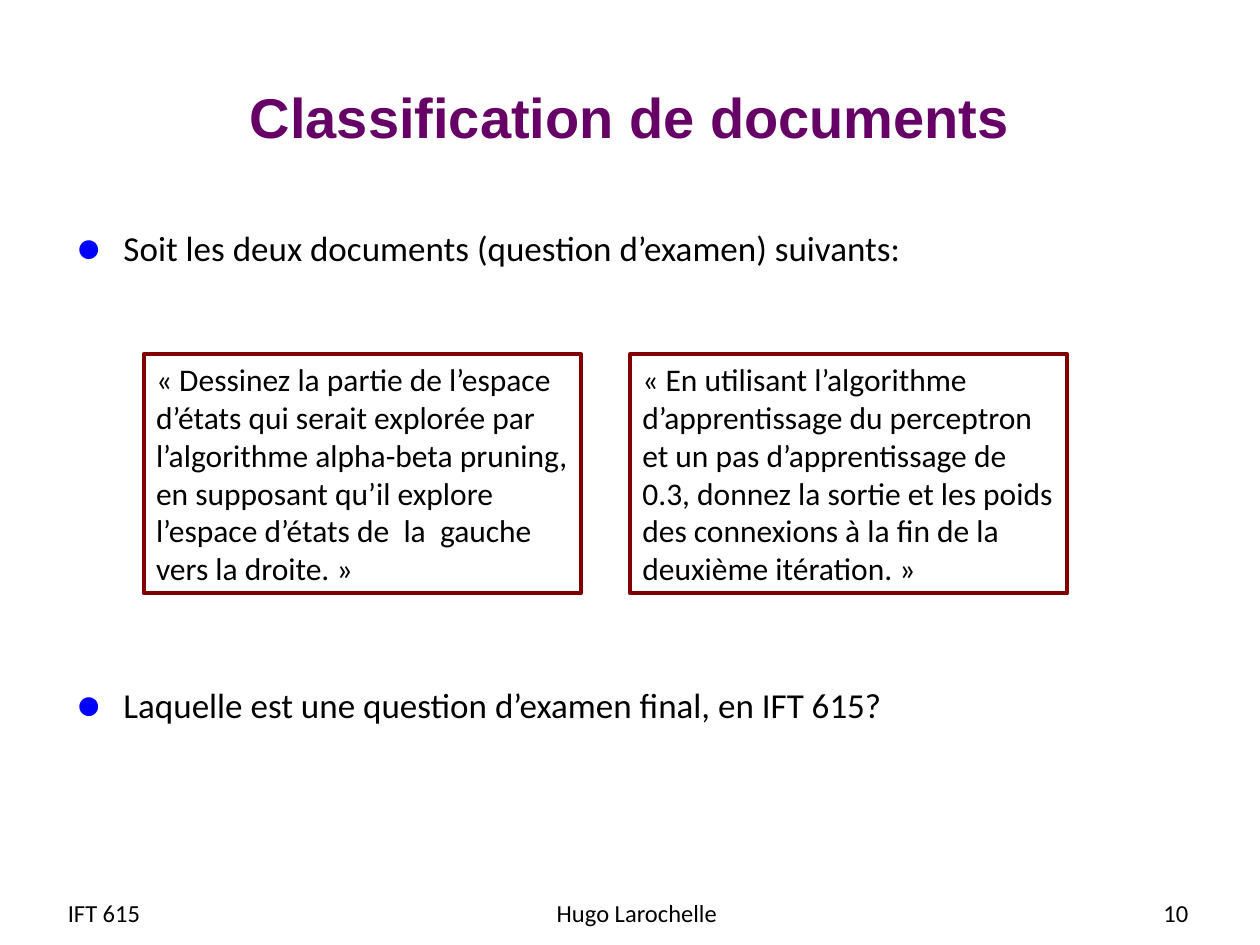
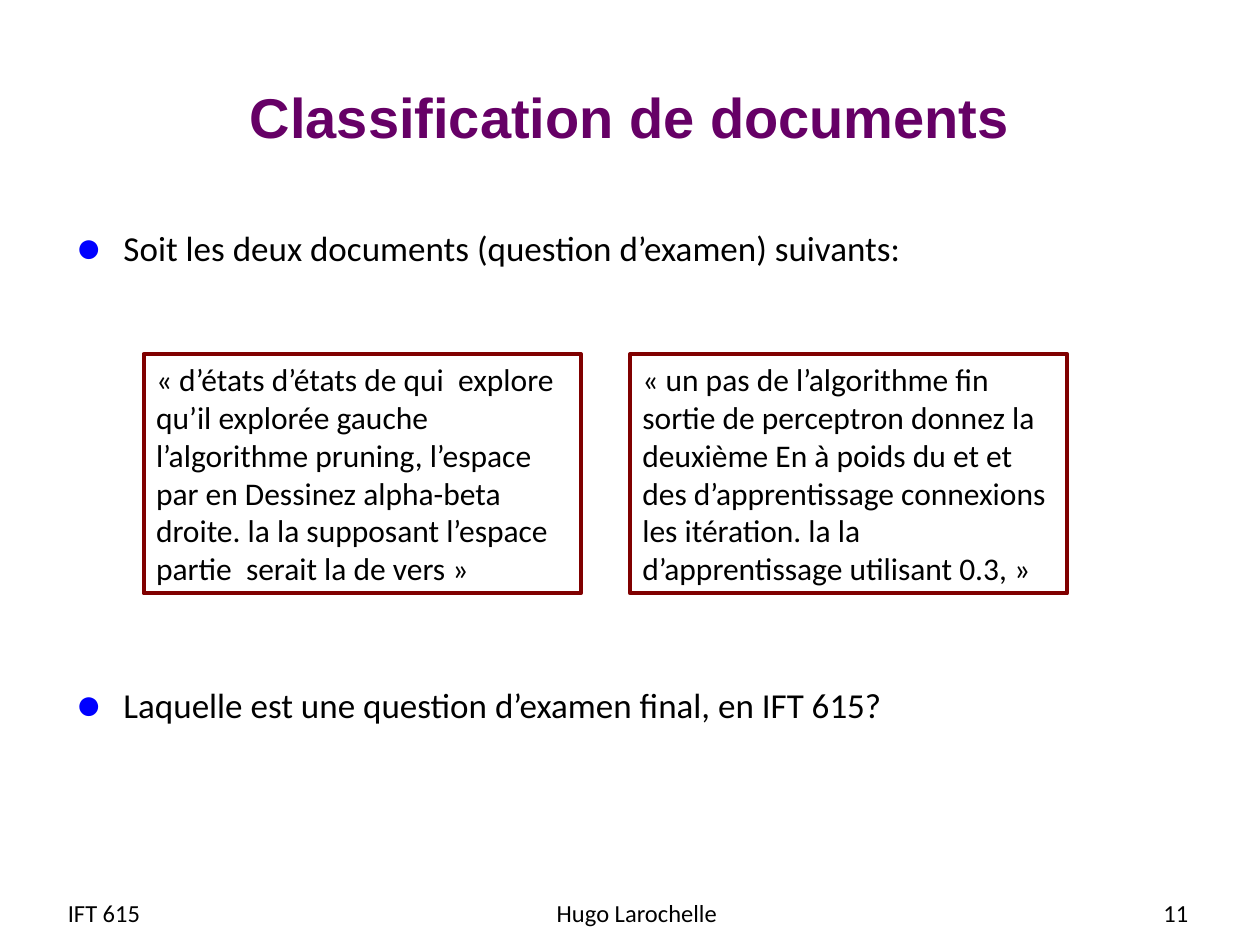
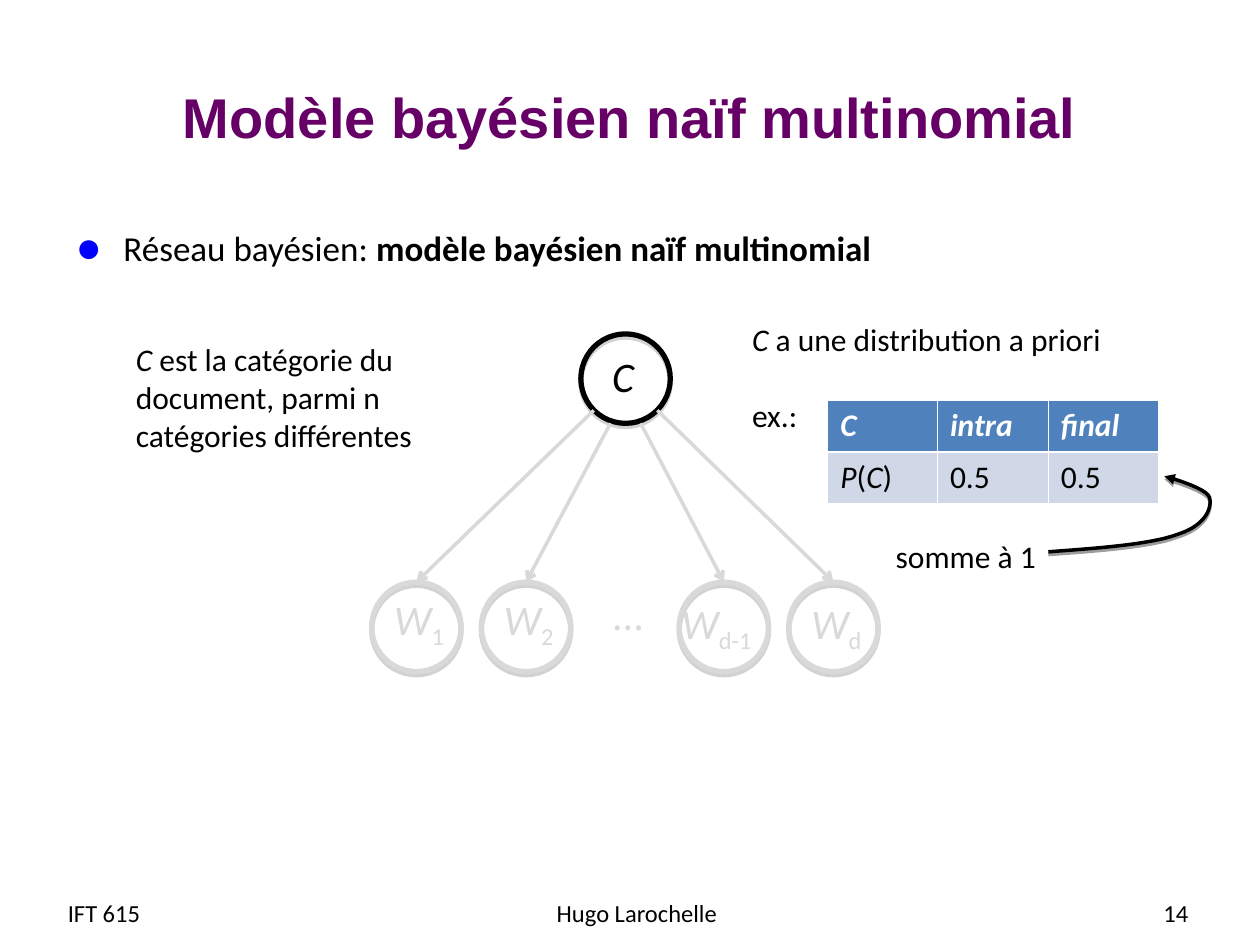
"""Build three course slides on document classification."""
from dataclasses import dataclass

from lxml import etree
from pptx import Presentation
from pptx.dml.color import RGBColor
from pptx.enum import shapes, text
from pptx.oxml import ns
from pptx.util import Inches, Pt


@dataclass(frozen=True)
class Theme:
    """Hold the colours, fonts and type sizes."""
    ink: str = "000000"
    plum: str = "660066"
    blue: str = "0000FF"
    wine: str = "800000"
    pale: str = "D9D9D9"
    gray: str = "808080"
    white: str = "FFFFFF"
    head: str = "4F81BD"
    cell: str = "D0D8E8"
    sans: str = "Arial"
    body: str = "Calibri"
    title: int = 32
    node: int = 24
    list: int = 20
    note: int = 18
    foot: int = 14


T = Theme()
ALIGN = text.PP_ALIGN
ANCHOR = text.MSO_ANCHOR
RING = 0.71
DIAG = RING / 2 * 0.71


def rgb(code):
    """Turn a hex code into a colour."""
    return RGBColor.from_string(code)


def add(parent, tag, **attrs):
    """Append an XML child and return it."""
    return etree.SubElement(parent, ns.qn(tag), attrs)


def place(box):
    """Convert left, top, width and height to lengths."""
    return [Inches(n) for n in box]


def write(frame, *paras, size=T.note, color=T.ink, font=T.body, bold=False,
          align=ALIGN.LEFT, anchor=ANCHOR.TOP, gap=0, bullet=False):
    """Fill a frame; a run is a string or a (string, marks) pair with marks b, i, s."""
    frame.word_wrap = True
    frame.auto_size = text.MSO_AUTO_SIZE.NONE
    frame.vertical_anchor = anchor
    for n, runs in enumerate(paras):
        para = frame.add_paragraph() if n else frame.paragraphs[0]
        para.alignment = align
        para.space_before = Pt(gap if n else 0)
        if bullet:
            dot(para)
        for run in [runs] if isinstance(runs, str) else runs:
            words, marks = (run, "") if isinstance(run, str) else run
            part = para.add_run()
            part.text = words
            part.font.size, part.font.name = Pt(size), font
            part.font.color.rgb = rgb(color)
            part.font.bold = bold or "b" in marks
            part.font.italic = "i" in marks
            if "s" in marks:
                part._r.get_or_add_rPr().set("baseline", "-25000")


def dot(para):
    """Give a paragraph the round blue bullet."""
    props = para._p.get_or_add_pPr()
    props.set("marL", str(Inches(0.38)))
    props.set("indent", str(Inches(-0.38)))
    add(add(props, "a:buClr"), "a:srgbClr", val=T.blue)
    add(props, "a:buSzPct", val="125000")
    add(props, "a:buChar", char="●")


def label(slide, box, *paras, **style):
    """Add a text box."""
    write(slide.shapes.add_textbox(*place(box)).text_frame, *paras, **style)


def stroke(shape, color, width, tip=None):
    """Set a line, with an optional arrowhead at its end."""
    shape.line.color.rgb = rgb(color)
    shape.line.width = Pt(width)
    if tip:
        add(shape.line._get_or_add_ln(), "a:tailEnd", type=tip)


def shade(shape, color, alpha, drop):
    """Replace the theme shadow with one that falls straight down."""
    shape.shadow.inherit = False
    effects = shape._element.spPr.find(ns.qn("a:effectLst"))
    outer = add(effects, "a:outerShdw", blurRad="0", dist=str(Pt(drop)),
                dir="5400000", rotWithShape="0")
    add(add(outer, "a:srgbClr", val=color), "a:alpha", val=str(alpha * 1000))


def start(deck, title, number, *points, gap=0):
    """Add a slide with its title, list and footer."""
    slide = deck.slides.add_slide(deck.slide_layouts[1])
    head, body = slide.placeholders
    head.left, head.top, head.width, head.height = place((0.5, 0.3, 9, 1.25))
    body.left, body.top, body.width, body.height = place((0.5, 1.75, 9, 4.95))
    write(head.text_frame, title, size=T.title, color=T.plum, font=T.sans,
          bold=True, align=ALIGN.CENTER, anchor=ANCHOR.MIDDLE)
    write(body.text_frame, *points, size=T.list, gap=gap, bullet=True)
    for left, width, words, align in (
            (0.44, 1.93, "IFT 615", ALIGN.LEFT),
            (3.47, 3.17, "Hugo Larochelle", ALIGN.CENTER),
            (7.2, 2.33, str(number), ALIGN.RIGHT)):
        label(slide, (left, 7.04, width, 0.4), words, size=T.foot,
              align=align, anchor=ANCHOR.MIDDLE)
    return slide


def quiz(deck, number, *quotes):
    """Add a slide that compares two exam questions."""
    slide = start(deck, "Classification de documents", number,
                  "Soit les deux documents (question d’examen) suivants:",
                  "Laquelle est une question d’examen final, en IFT 615?", gap=237)
    for n, quote in enumerate(quotes):
        card = slide.shapes.add_shape(shapes.MSO_SHAPE.RECTANGLE,
                                      *place((1.14 + n * 3.86, 2.81, 3.47, 1.9)))
        card.shadow.inherit = False
        card.fill.background()
        stroke(card, T.wine, 2.25)
        write(card.text_frame, quote)


def ring(slide, left, top, color):
    """Add a hollow circle."""
    shape = slide.shapes.add_shape(shapes.MSO_SHAPE.OVAL,
                                   *place((left, top, RING, RING)))
    shape.fill.background()
    stroke(shape, color, 3)
    shade(shape, T.gray, 35, 1.8)
    return shape


def edge(slide, x, y, child):
    """Draw an arrow from a point to the top of a circle."""
    line = slide.shapes.add_connector(shapes.MSO_CONNECTOR.STRAIGHT,
                                      Inches(x), Inches(y), 0, 0)
    line.end_connect(child, 0)
    stroke(line, T.pale, 2, "arrow")
    add(line._element.spPr, "a:effectLst")


def graph(slide):
    """Draw the category node above its word nodes."""
    left, top, low = 4.61, 2.65, 4.62
    mid, core = left + RING / 2, top + RING / 2
    ring(slide, left, top, T.ink)
    words = [ring(slide, x, low, T.pale) for x in (2.95, 3.82, 5.39, 6.26)]
    label(slide, (4.76, low, 0.55, 0.5), "...", size=T.node, color=T.pale)
    starts = ((-DIAG, DIAG), (-0.12, RING / 2), (0.12, RING / 2), (DIAG, DIAG))
    for (x, y), child in zip(starts, words):
        edge(slide, mid + x, core + y, child)
    label(slide, (4.76, 2.73, 0.55, 0.5), [("C", "i")], size=T.node)
    for x, y, width, sub in ((3.03, 4.66, 0.71, "1"), (3.9, 4.66, 0.79, "2"),
                             (5.31, 4.69, 0.95, "d-1"), (6.34, 4.69, 0.79, "d")):
        label(slide, (x, y, width, 0.56), [("W", "i"), (sub, "s")],
              size=T.node, color=T.pale)


def border(cell, row):
    """Draw white cell borders, thicker between head and data."""
    props = cell._tc.get_or_add_tcPr()
    for n, side in enumerate("LRTB"):
        thick = (row, side) in ((0, "B"), (1, "T"))
        line = add(props, f"a:ln{side}", w=str(Pt(1.47 if thick else 0.45)))
        add(add(line, "a:solidFill"), "a:srgbClr", val=T.white)
        props.insert(n, line)


def prior(slide):
    """Add the table of prior odds."""
    rows = (([("C", "i")], [("intra", "i")], [("final", "i")]),
            ([("P", "i"), "(", ("C", "i"), ")"], "0.5", "0.5"))
    grid = slide.shapes.add_table(2, 3, *place((6.57, 3.18, 2.62, 0.81))).table
    for col, width in zip(grid.columns, (0.87, 0.88, 0.87)):
        col.width = Inches(width)
    for r, (row, height) in enumerate(zip(rows, (0.41, 0.4))):
        grid.rows[r].height = Inches(height)
        for c, words in enumerate(row):
            cell = grid.cell(r, c)
            cell.fill.solid()
            cell.fill.fore_color.rgb = rgb(T.cell if r else T.head)
            border(cell, r)
            write(cell.text_frame, words, bold=not r,
                  color=T.ink if r else T.white)


def curve(slide, first, *arcs, steps=12):
    """Draw a curved arrow through cubic arcs."""
    points, last = [], first
    for arc in arcs:
        knots = (last, *arc)
        for n in range(1, steps + 1):
            t = n / steps
            mix = ((1 - t) ** 3, 3 * t * (1 - t) ** 2, 3 * t * t * (1 - t), t ** 3)
            points.append(tuple(Inches(sum(m * k[axis] for m, k in zip(mix, knots)))
                                for axis in (0, 1)))
        last = arc[-1]
    pen = slide.shapes.build_freeform(*(Inches(n) for n in first))
    pen.add_line_segments(points, close=False)
    shape = pen.convert_to_shape()
    shape.fill.background()
    stroke(shape, T.ink, 2, "triangle")
    shade(shape, T.ink, 38, 1.6)


def model(deck):
    """Add the slide on the naive Bayes model."""
    slide = start(deck, "Modèle bayésien naïf multinomial", 14,
                  ["Réseau bayésien: ", ("modèle bayésien naïf multinomial", "b")])
    graph(slide)
    label(slide, (0.98, 2.65, 3.15, 1),
          [("C", "i"), " est la catégorie du document, parmi n catégories différentes"])
    label(slide, (5.87, 2.49, 3.15, 1),
          [("C", "i"), " a une distribution a priori"], "ex.:", gap=22)
    prior(slide)
    curve(slide, (8.32, 4.38),
          ((8.73, 4.35), (9.14, 4.32), (9.35, 4.24)),
          ((9.57, 4.17), (9.62, 4.03), (9.6, 3.95)),
          ((9.58, 3.87), (9.24, 3.78), (9.24, 3.78)))
    label(slide, (7.01, 4.21, 1.38, 0.4), "somme à 1")


def main():
    """Build and save the deck."""
    deck = Presentation()
    deck.slide_width, deck.slide_height = Inches(10), Inches(7.5)
    quiz(deck, 10,
         "« Dessinez la partie de l’espace d’états qui serait explorée par "
         "l’algorithme alpha-beta pruning, en supposant qu’il explore l’espace "
         "d’états de  la  gauche vers la droite. »",
         "« En utilisant l’algorithme d’apprentissage du perceptron et un pas "
         "d’apprentissage de 0.3, donnez la sortie et les poids des connexions "
         "à la fin de la deuxième itération. »")
    quiz(deck, 11,
         "« d’états d’états de qui  explore qu’il explorée gauche l’algorithme "
         "pruning, l’espace par en Dessinez alpha-beta droite. la la supposant "
         "l’espace partie  serait la de vers »",
         "« un pas de l’algorithme fin sortie de perceptron donnez la deuxième "
         "En à poids du et et des d’apprentissage connexions les itération. la "
         "la d’apprentissage utilisant 0.3, »")
    model(deck)
    deck.save("out.pptx")


if __name__ == "__main__":
    main()
